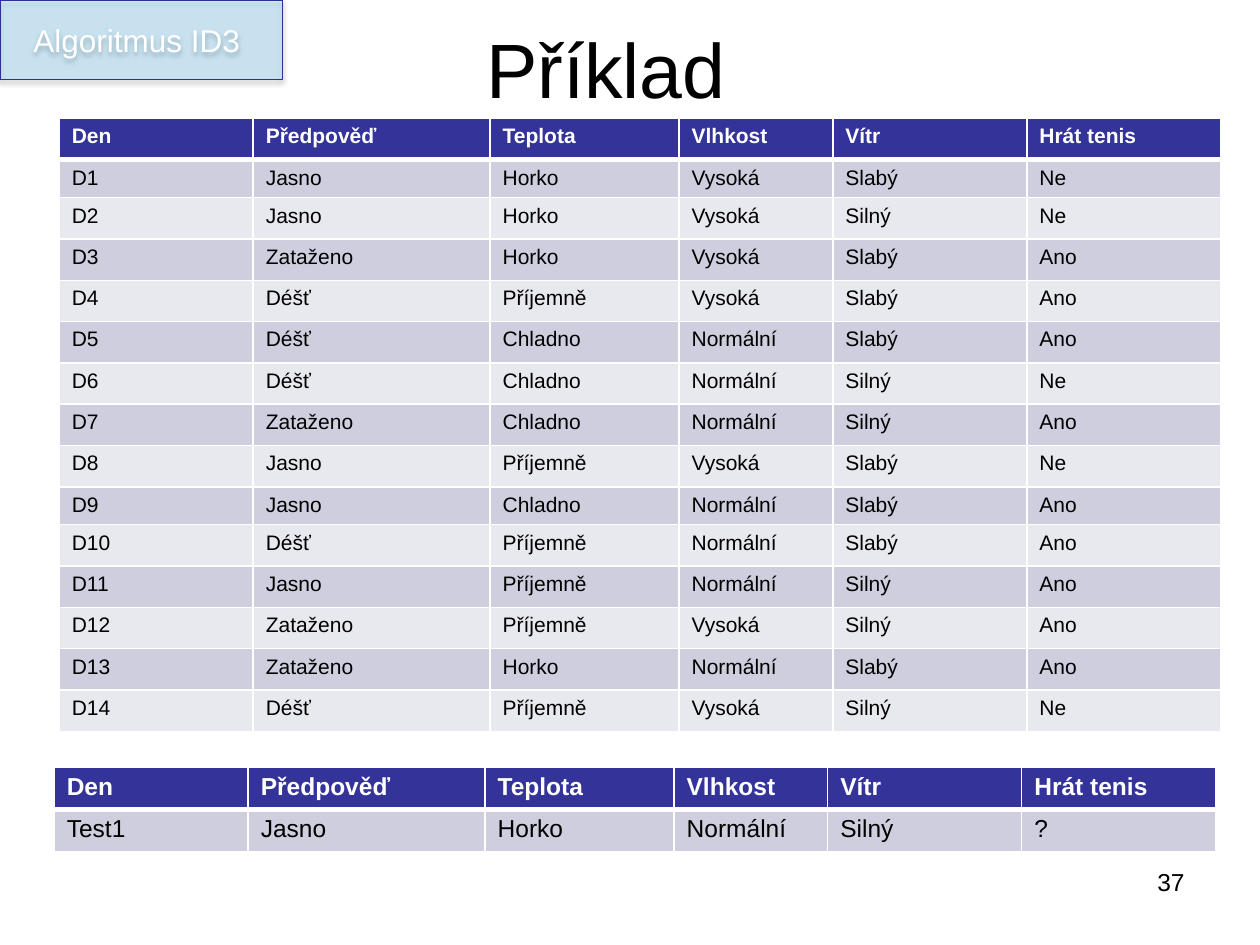
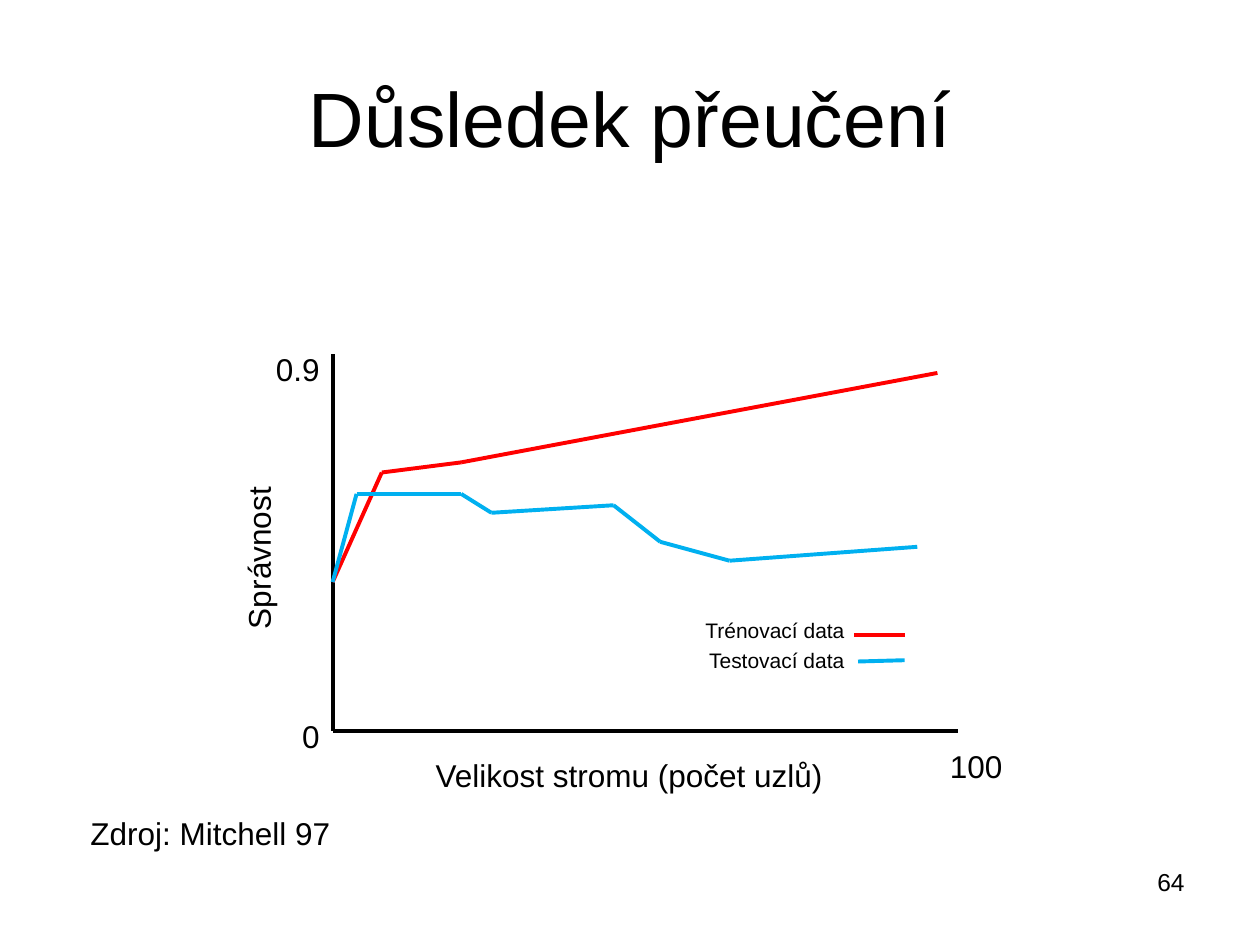
from itertools import pairwise

from lxml import etree
from pptx import Presentation
from pptx import util as u
from pptx.dml.color import RGBColor
from pptx.enum import shapes, text
from pptx.oxml import parse_xml
from pptx.oxml.ns import qn

COLS, ROWS = 100, 75
UNIT = u.Inches(10) // COLS
FONT = "Arial"
BLACK, WHITE = "000000", "FFFFFF"
NAVY, LILAC, PALE = "333399", "CECEDE", "E8E8EF"
RED, BLUE = "FF0000", "00B0F0"
NS = 'xmlns:a="http://schemas.openxmlformats.org/drawingml/2006/main"'
LEFT, MID, RIGHT = text.PP_ALIGN.LEFT, text.PP_ALIGN.CENTER, text.PP_ALIGN.RIGHT

HEAD = ["Den", "Předpověď", "Teplota", "Vlhkost", "Vítr", "Hrát tenis"]
DAYS = """Jasno Horko Vysoká Slabý Ne
Jasno Horko Vysoká Silný Ne
Zataženo Horko Vysoká Slabý Ano
Déšť Příjemně Vysoká Slabý Ano
Déšť Chladno Normální Slabý Ano
Déšť Chladno Normální Silný Ne
Zataženo Chladno Normální Silný Ano
Jasno Příjemně Vysoká Slabý Ne
Jasno Chladno Normální Slabý Ano
Déšť Příjemně Normální Slabý Ano
Jasno Příjemně Normální Silný Ano
Zataženo Příjemně Vysoká Silný Ano
Zataženo Horko Normální Slabý Ano
Déšť Příjemně Vysoká Silný Ne"""
TEST = ["Test1", "Jasno", "Horko", "Normální", "Silný", "?"]
WIDTHS = [15.4, 18.8, 15, 12.2, 15.4, 15.4]
TALL = 3.28

AXES = [(26.4, 28.1), (26.4, 58), (76, 58)]
TRAIN = [(26.4, 46.2), (30.3, 37.5), (36.6, 36.7), (74.4, 29.6)]
TRIAL = [(26.4, 46.2), (28.3, 39.2), (36.6, 39.2), (39, 40.7), (48.7, 40.1),
         (52.4, 43), (57.9, 44.5), (72.8, 43.4)]


def tint(code):
    """Turn a hex string into a colour."""
    return RGBColor.from_string(code)


def grid(*spans):
    """Turn grid steps into lengths."""
    return [u.Emu(round(span * UNIT)) for span in spans]


def write(frame, words, size, color=BLACK, bold=False, align=LEFT):
    """Add one styled run to the first paragraph."""
    para = frame.paragraphs[0]
    para.alignment = align
    run = para.add_run()
    run.text = words
    font = run.font
    font.name, font.size, font.bold = FONT, u.Pt(size), bold
    font.color.rgb = tint(color)


def label(slide, words, box, size=18, align=LEFT, wrap=False, turn=0):
    """Place a line of text on the grid."""
    shape = slide.shapes.add_textbox(*grid(*box))
    shape.rotation = turn
    shape.text_frame.word_wrap = wrap
    write(shape.text_frame, words, size, align=align)
    return shape


def page(deck, title, box, number):
    """Add a slide with its title and number."""
    slide = deck.slides.add_slide(deck.slide_layouts[6])
    head = label(slide, title, box, 44, MID, True)
    head.text_frame.vertical_anchor = text.MSO_ANCHOR.MIDDLE
    label(slide, str(number), (71.7, 68.3, 23.3, 5.2), 14, RIGHT, True)
    return slide


def edge(cell, side, width):
    """Draw one white border of a cell."""
    cell._tc.get_or_add_tcPr().append(parse_xml(
        f'<a:ln{side} {NS} w="{u.Pt(width)}"><a:solidFill>'
        f'<a:srgbClr val="{WHITE}"/></a:solidFill></a:ln{side}>'))


def sheet(slide, data, left, top, heights, size):
    """Add a table with a dark header and banded rows."""
    box = grid(left, top, sum(WIDTHS), sum(heights))
    table = slide.shapes.add_table(len(data), len(HEAD), *box).table
    for col, width in zip(table.columns, grid(*WIDTHS)):
        col.width = width
    for row, height in zip(table.rows, grid(*heights)):
        row.height = height
    for r, line in enumerate(data):
        first = r == 0
        fill = NAVY if first else (PALE, LILAC)[r % 2]
        for c, words in enumerate(line):
            cell = table.cell(r, c)
            for side in "LRTB":
                thick = (r, side) in ((0, "B"), (1, "T"))
                edge(cell, side, 3 if thick else 1)
            cell.fill.solid()
            cell.fill.fore_color.rgb = tint(fill)
            write(cell.text_frame, words, size, WHITE if first else BLACK, first)


def badge(slide, words, box):
    """Add a translucent box with a soft shadow."""
    shape = slide.shapes.add_shape(shapes.MSO_SHAPE.RECTANGLE, *grid(*box))
    shape.fill.solid()
    shape.fill.fore_color.rgb = tint("66CCFF")
    shade = shape._element.spPr.find(qn("a:solidFill"))[0]
    etree.SubElement(shade, qn("a:alpha"), val="25000")
    shape.line.color.rgb = tint("2F2F98")
    shape.line.width = u.Pt(0.75)
    shape._element.spPr.append(parse_xml(
        f'<a:effectLst {NS}><a:outerShdw blurRad="{u.Pt(3.1)}" '
        f'dist="{u.Pt(1.8)}" dir="5400000" rotWithShape="0">'
        f'<a:srgbClr val="{BLACK}"><a:alpha val="35000"/></a:srgbClr>'
        '</a:outerShdw></a:effectLst>'))
    shape.text_frame.vertical_anchor = text.MSO_ANCHOR.MIDDLE
    write(shape.text_frame, words, 18, WHITE, align=MID)


def trace(slide, points, color):
    """Join points by straight lines."""
    for start, end in pairwise(points):
        line = slide.shapes.add_connector(
            shapes.MSO_CONNECTOR.STRAIGHT, *grid(*start, *end))
        line.line.color.rgb = tint(color)
        line.line.width = u.Pt(2.25)
        etree.SubElement(line._element.spPr, qn("a:effectLst"))


def tennis(deck):
    """Build the slide with the training and test days."""
    slide = page(deck, "Příklad", (3.1, 0, 90, 10.8), 37)
    days = [[f"D{n}", *row.split()] for n, row in enumerate(DAYS.splitlines(), 1)]
    heights = [TALL] * (len(days) + 1)
    heights[1], heights[9] = 3, 2.86
    sheet(slide, [HEAD, *days], 4.7, 9.4, heights, 12)
    sheet(slide, [HEAD, TEST], 4.3, 60.9, [3.2] * 2, 14)
    badge(slide, "Algoritmus ID3 ", (0, 0, 22.4, 6.3))


def overfit(deck):
    """Build the slide with the accuracy curves."""
    slide = page(deck, "Důsledek přeučení", (5, 3, 90, 12.5), 64)
    label(slide, "Zdroj: Mitchell 97", (6.2, 64.1, 27.3, 4), wrap=True)
    label(slide, "Velikost stromu (počet uzlů)", (33.6, 59.5, 33, 4))
    label(slide, "Správnost", (13.8, 42.2, 13.4, 4), turn=270)
    label(slide, "0.9", (20.9, 27.3, 5.5, 4))
    label(slide, "0", (23, 56.4, 3.4, 4))
    label(slide, "100", (74.4, 58.8, 6.2, 4))
    label(slide, "Trénovací data", (55, 48.5, 13.2, 3), 12)
    label(slide, "Testovací data", (55.3, 50.9, 12.9, 3), 12)
    trace(slide, AXES, BLACK)
    trace(slide, TRAIN, RED)
    trace(slide, TRIAL, BLUE)
    trace(slide, [(67.8, 50.4), (71.8, 50.4)], RED)
    trace(slide, [(68.1, 52.5), (71.8, 52.4)], BLUE)


def main():
    """Build and save the deck."""
    deck = Presentation()
    deck.slide_width, deck.slide_height = grid(COLS, ROWS)
    tennis(deck)
    overfit(deck)
    deck.save("out.pptx")


if __name__ == "__main__":
    main()
